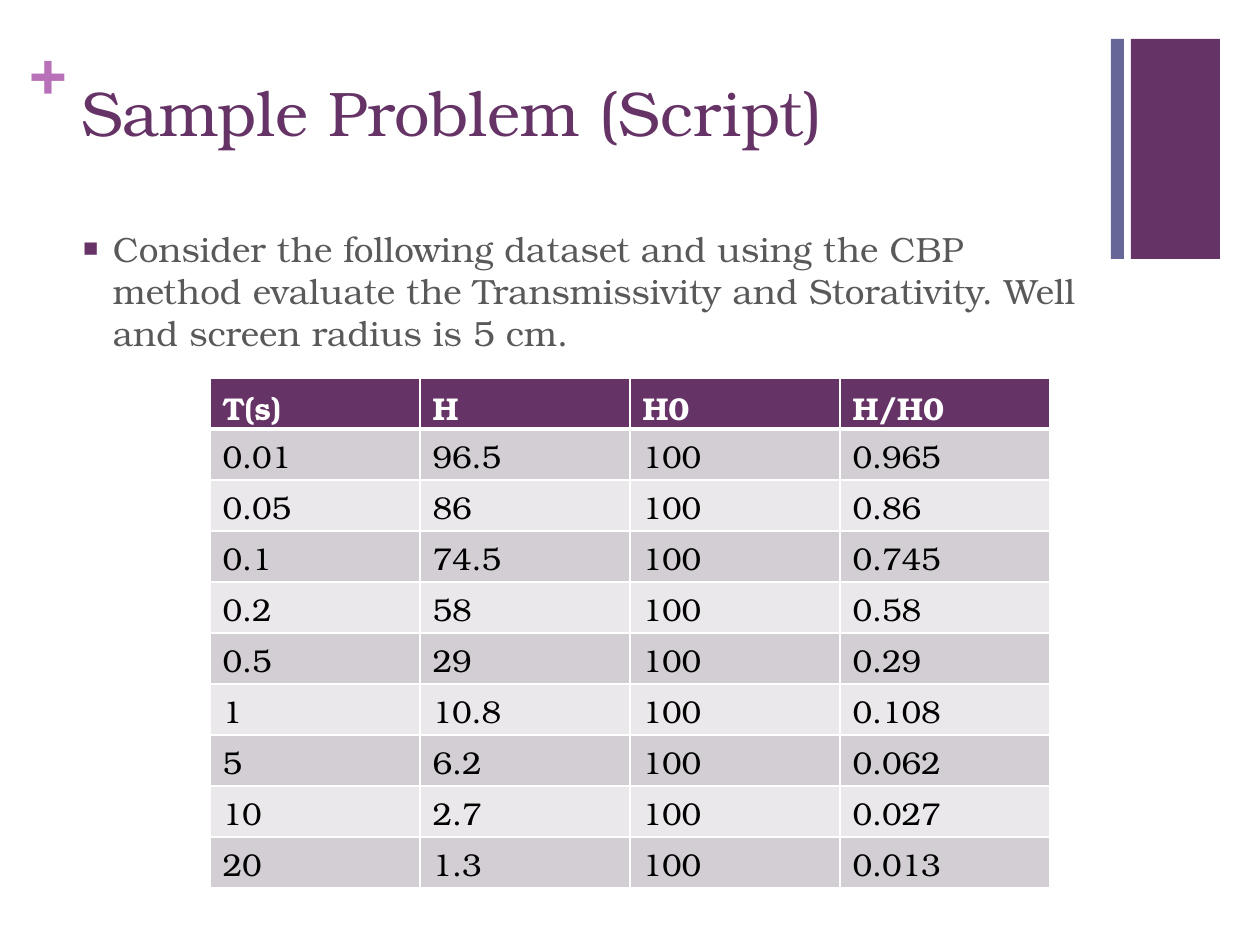
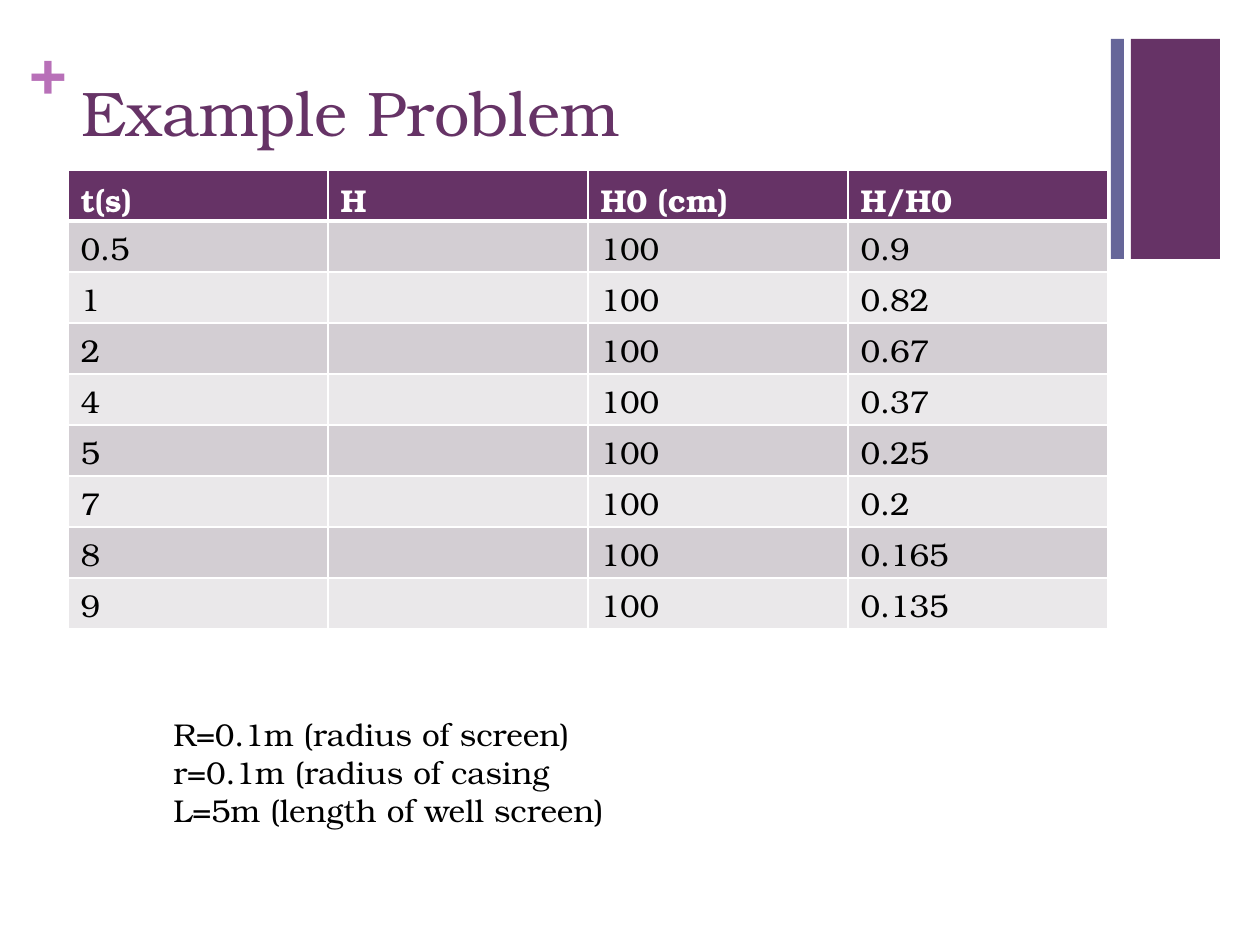
"""Build two slides on evaluating slug test data."""
from dataclasses import dataclass

import pptx
import pptx.dml.color
import pptx.enum.shapes
import pptx.oxml
import pptx.oxml.ns
import pptx.util

PX_PER_INCH = 126
FONT = "TeX Gyre Bonum"
COLORS = {
    "plum": "663366",
    "slate": "666699",
    "orchid": "B870B8",
    "grey": "595959",
    "black": "000000",
    "white": "FFFFFF",
    "band_dark": "D3CED3",
    "band_light": "EAE8EA",
}


@dataclass(frozen=True)
class Box:
    """A rectangle in px."""
    left: int
    top: int
    width: int
    height: int


@dataclass(frozen=True)
class Style:
    """The look of a run of text."""
    size: int
    color: str
    bold: bool = False


@dataclass(frozen=True)
class Bar:
    """A filled corner bar."""
    box: Box
    color: str


@dataclass(frozen=True)
class Grid:
    """A data table with equal columns."""
    left: int
    top: int
    col_width: int
    header: tuple[str, ...]
    rows: tuple[tuple[str, ...], ...]


TITLE = Style(36, "plum")
PLUS = Style(36, "orchid", True)
BODY = Style(20, "grey")
NOTE = Style(18, "black")
HEADER = Style(18, "white", True)

BARS = (
    Bar(Box(1131, 39, 89, 220), "plum"),
    Bar(Box(1111, 39, 13, 220), "slate"),
)
PLUS_BOX = Box(30, 31, 37, 77)
TITLE_BOX = Box(69, 67, 1041, 153)
BODY_BOX = Box(69, 221, 1041, 571)
NOTE_BOX = Box(161, 709, 794, 127)
ROW_HEIGHT = 51

SLUG_TEST = (
    ("0.01", "96.5", "0.965"),
    ("0.05", "86", "0.86"),
    ("0.1", "74.5", "0.745"),
    ("0.2", "58", "0.58"),
    ("0.5", "29", "0.29"),
    ("1", "10.8", "0.108"),
    ("5", "6.2", "0.062"),
    ("10", "2.7", "0.027"),
    ("20", "1.3", "0.013"),
)
RATIOS = (
    ("0.5", "0.9"),
    ("1", "0.82"),
    ("2", "0.67"),
    ("4", "0.37"),
    ("5", "0.25"),
    ("7", "0.2"),
    ("8", "0.165"),
    ("9", "0.135"),
)
SAMPLE_GRID = Grid(210, 378, 210, ("T(s)", "H", "H0", "H/H0"),
                   tuple((t, h, "100", ratio) for t, h, ratio in SLUG_TEST))
EXAMPLE_GRID = Grid(68, 170, 260, ("t(s)", "H", "H0 (cm)", "H/H0"),
                    tuple((t, "", "100", ratio) for t, ratio in RATIOS))


def px(n: int) -> pptx.util.Emu:
    """Turn px into EMU."""
    return pptx.util.Emu(round(n * 914400 / PX_PER_INCH))


def place(box: Box) -> tuple:
    """Return the four lengths of a box in EMU."""
    return px(box.left), px(box.top), px(box.width), px(box.height)


def rgb(color: str) -> pptx.dml.color.RGBColor:
    """Look up a named colour."""
    return pptx.dml.color.RGBColor.from_string(COLORS[color])


def add_run(p, text: str, style: Style) -> None:
    """Add one styled run to a paragraph."""
    r = p.add_run()
    r.text = text
    r.font.name = FONT
    r.font.size = pptx.util.Pt(style.size)
    r.font.bold = style.bold
    r.font.color.rgb = rgb(style.color)


def add_text(s, box: Box, lines: tuple[str, ...], style: Style):
    """Add a wrapping text box and return its text frame."""
    tf = s.shapes.add_textbox(*place(box)).text_frame
    tf.word_wrap = True
    for i, line in enumerate(lines):
        p = tf.paragraphs[0] if i == 0 else tf.add_paragraph()
        add_run(p, line, style)
    return tf


def add_xml(parent, tag: str, **attrs: str):
    """Append a drawing element with attributes."""
    child = pptx.oxml.parse_xml(f"<a:{tag} {pptx.oxml.ns.nsdecls('a')}/>")
    for key, value in attrs.items():
        child.set(key, value)
    parent.append(child)
    return child


def add_bullet(p) -> None:
    """Give a paragraph a square bullet and a hanging indent."""
    pPr = p._p.get_or_add_pPr()
    indent = pptx.util.Inches(0.25)
    pPr.set("marL", str(indent))
    pPr.set("indent", str(-indent))
    add_xml(add_xml(pPr, "buClr"), "srgbClr", val=COLORS["plum"])
    add_xml(pPr, "buSzPct", val="75000")
    add_xml(pPr, "buFont", typeface=FONT)
    add_xml(pPr, "buChar", char="■")


def add_borders(cell, top: int, bottom: int) -> None:
    """Draw white cell borders with widths in points."""
    tcPr = cell._tc.get_or_add_tcPr()
    for tag, width in (("lnL", 1), ("lnR", 1), ("lnT", top), ("lnB", bottom)):
        ln = add_xml(tcPr, tag, w=str(pptx.util.Pt(width)))
        add_xml(add_xml(ln, "solidFill"), "srgbClr", val=COLORS["white"])


def add_grid(s, grid: Grid) -> None:
    """Add a table with a dark header and banded rows."""
    rows = (grid.header, *grid.rows)
    n = len(grid.header)
    box = Box(grid.left, grid.top, n * grid.col_width, len(rows) * ROW_HEIGHT)
    table = s.shapes.add_table(len(rows), n, *place(box)).table
    for i, row in enumerate(rows):
        table.rows[i].height = px(ROW_HEIGHT)
        band = "band_dark" if i % 2 else "band_light"
        for j, text in enumerate(row):
            cell = table.cell(i, j)
            add_borders(cell, 3 if i == 1 else 1, 3 if i == 0 else 1)
            cell.fill.solid()
            cell.fill.fore_color.rgb = rgb("plum" if i == 0 else band)
            if text:
                add_run(cell.text_frame.paragraphs[0], text,
                        HEADER if i == 0 else NOTE)


def add_slide(prs, title: str):
    """Add a slide with the corner bars, plus sign and title."""
    s = prs.slides.add_slide(prs.slide_layouts[6])
    for bar in BARS:
        sp = s.shapes.add_shape(pptx.enum.shapes.MSO_SHAPE.RECTANGLE,
                                *place(bar.box))
        sp.shadow.inherit = False
        sp.fill.solid()
        sp.fill.fore_color.rgb = rgb(bar.color)
        sp.line.fill.background()
    tf = add_text(s, PLUS_BOX, ("+",), PLUS)
    tf.margin_left = tf.margin_right = tf.margin_top = tf.margin_bottom = 0
    add_text(s, TITLE_BOX, (title,), TITLE)
    return s


def main() -> None:
    """Build and save the slides."""
    prs = pptx.Presentation()
    prs.slide_width, prs.slide_height = px(1260), px(945)

    s = add_slide(prs, "Sample Problem (Script)")
    tf = add_text(s, BODY_BOX, (
        "Consider the following dataset and using the CBP method evaluate "
        "the Transmissivity and Storativity. Well and screen radius is 5 cm.",
    ), BODY)
    add_bullet(tf.paragraphs[0])
    add_grid(s, SAMPLE_GRID)

    s = add_slide(prs, "Example Problem")
    add_grid(s, EXAMPLE_GRID)
    add_text(s, NOTE_BOX, (
        "R=0.1m (radius of screen)",
        "r=0.1m (radius of casing",
        "L=5m (length of well screen)",
    ), NOTE)

    prs.save("out.pptx")


if __name__ == "__main__":
    main()
